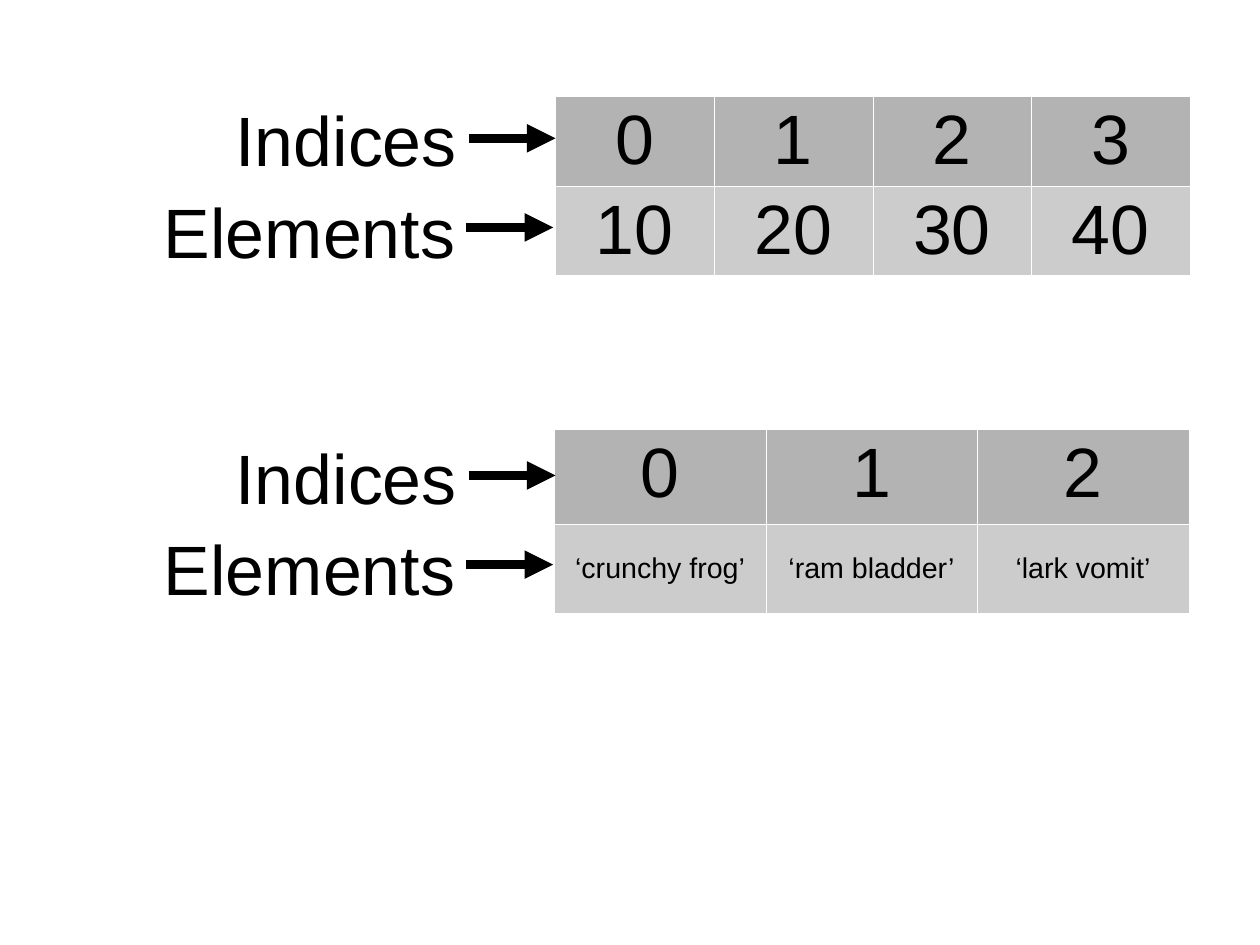
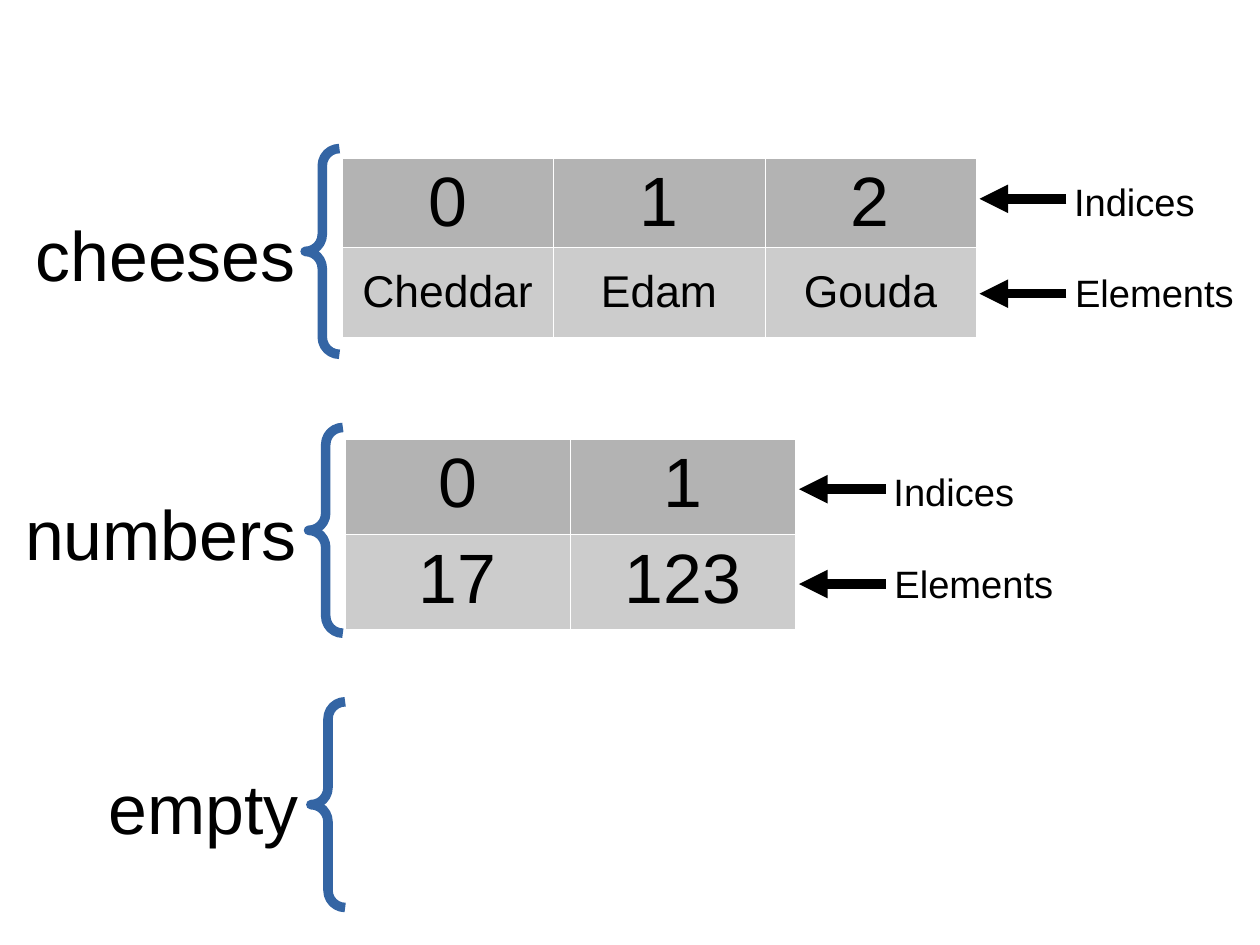
from lxml import etree
from pptx import Presentation
from pptx.dml.color import RGBColor
from pptx.enum.shapes import MSO_CONNECTOR as Connector, MSO_SHAPE as Shape
from pptx.enum.text import MSO_ANCHOR as Anchor, MSO_AUTO_SIZE as AutoSize, PP_ALIGN as Align
from pptx.oxml.ns import qn
from pptx.util import Inches, Pt

COLORS = {"text": "000000", "index": "B3B3B3", "element": "CCCCCC",
          "border": "FFFFFF", "brace": "3465A4"}
FONT = "Arial"
LARGE, SMALL = 44, 24
LINE_WIDTH = 6
BORDER_WIDTH = 0.06
ARRAY_HEIGHT = 1.57
# The page is 28 by 21 centimetres
PAGE_WIDTH, PAGE_HEIGHT = 28 / 2.54, 21 / 2.54

# Pointer rows: text, label offset and width, then arrow start, end and height
LEFT_POINTERS = [("Indices", 0.62, 0, 2.1, 2.74, 3.5, 0.36),
                 ("Elements", 0, 0.8, 2.7, 2.72, 3.48, 1.14)]
RIGHT_POINTERS = [("Indices", 0, 0, 1.15, -0.02, -0.78, 0.18),
                  ("Elements", 0, 0.8, 1.5, -0.02, -0.78, 1.01)]


def color(name):
    return RGBColor.from_string(COLORS[name])


def write(frame, text, size):
    """Put one centred line of text in a text frame."""
    paragraph = frame.paragraphs[0]
    paragraph.text = text
    paragraph.alignment = Align.CENTER
    for name, value in {"name": FONT, "size": Pt(size)}.items():
        setattr(paragraph.font, name, value)
    paragraph.font.color.rgb = color("text")


def add_label(slide, text, left, top, width, size):
    box = slide.shapes.add_textbox(Inches(left), Inches(top), Inches(width),
                                   Inches(size / 65))
    frame = box.text_frame
    settings = {"margin_left": 0, "margin_top": 0, "margin_right": 0, "margin_bottom": 0,
                "word_wrap": True, "auto_size": AutoSize.SHAPE_TO_FIT_TEXT}
    for name, value in settings.items():
        setattr(frame, name, value)
    write(frame, text, size)


def add_arrow(slide, start, end, y):
    arrow = slide.shapes.add_connector(Connector.STRAIGHT, Inches(start), Inches(y),
                                       Inches(end), Inches(y))
    arrow.line.color.rgb = color("text")
    arrow.line.width = Pt(LINE_WIDTH)
    etree.SubElement(arrow.line._get_or_add_ln(), qn("a:tailEnd"), type="triangle")
    etree.SubElement(arrow._element.spPr, qn("a:effectLst"))


def add_borders(cell):
    properties = cell._tc.get_or_add_tcPr()
    for side in ("lnL", "lnR", "lnT", "lnB"):
        line = etree.SubElement(properties, qn(f"a:{side}"), w=str(int(Pt(BORDER_WIDTH))))
        fill = etree.SubElement(line, qn("a:solidFill"))
        etree.SubElement(fill, qn("a:srgbClr"), val=COLORS["border"])


def add_array(slide, left, top, width, elements, size=LARGE, height=ARRAY_HEIGHT):
    """Draw a table with a row of indices above a row of elements."""
    count = len(elements)
    table = slide.shapes.add_table(2, count, Inches(left), Inches(top), Inches(width),
                                   Inches(height)).table
    table.first_row = table.horz_banding = False
    rows = [(range(count), "index", LARGE), (elements, "element", size)]
    for row, (values, fill, text_size) in enumerate(rows):
        for column, value in enumerate(values):
            cell = table.cell(row, column)
            add_borders(cell)
            cell.fill.solid()
            cell.fill.fore_color.rgb = color(fill)
            cell.vertical_anchor = Anchor.TOP if text_size == LARGE else Anchor.MIDDLE
            write(cell.text_frame, str(value), text_size)


def add_pointers(slide, left, top, pointers, size):
    """Label the two rows of an array and point an arrow at each."""
    for text, x, y, width, start, end, arrow_y in pointers:
        add_label(slide, text, left + x, top + y, width, size)
        add_arrow(slide, left + start, left + end, top + arrow_y)


def add_named_brace(slide, left, top, name, name_width):
    """Draw a brace with the list name to its left."""
    add_label(slide, name, left - 0.08 - name_width, top + 0.55, name_width, LARGE)
    brace = slide.shapes.add_shape(Shape.LEFT_BRACE, Inches(left), Inches(top),
                                   Inches(0.3), Inches(1.8))
    brace.shadow.inherit = False
    brace.adjustments[0] = 0.5
    brace.fill.background()
    brace.line.color.rgb = color("brace")
    brace.line.width = Pt(LINE_WIDTH)


def build_indices_slide(slide):
    # Numbers list
    add_array(slide, 4.86, 0.84, 5.55, [10, 20, 30, 40])
    add_pointers(slide, 1.36, 0.85, LEFT_POINTERS, LARGE)
    # Strings list
    add_array(slide, 4.85, 3.75, 5.55,
              ["‘crunchy frog’", "‘ram bladder’", "‘lark vomit’"], size=18)
    add_pointers(slide, 1.36, 3.8, LEFT_POINTERS, LARGE)


def build_named_lists_slide(slide):
    # Cheeses
    add_array(slide, 2.99, 1.38, 5.55, ["Cheddar", "Edam", "Gouda"], size=28)
    add_named_brace(slide, 2.67, 1.3, "cheeses", 2.28)
    add_pointers(slide, 9.35, 1.56, RIGHT_POINTERS, SMALL)
    # Numbers
    add_array(slide, 3.02, 3.84, 3.94, [17, 123], height=1.65)
    add_named_brace(slide, 2.7, 3.74, "numbers", 2.42)
    add_pointers(slide, 7.77, 4.1, RIGHT_POINTERS, SMALL)
    # Empty list
    add_named_brace(slide, 2.72, 6.14, "empty", 1.72)


def main():
    presentation = Presentation()
    presentation.slide_width = Inches(PAGE_WIDTH)
    presentation.slide_height = Inches(PAGE_HEIGHT)
    for build in (build_indices_slide, build_named_lists_slide):
        build(presentation.slides.add_slide(presentation.slide_layouts[6]))
    presentation.save("out.pptx")


if __name__ == "__main__":
    main()
